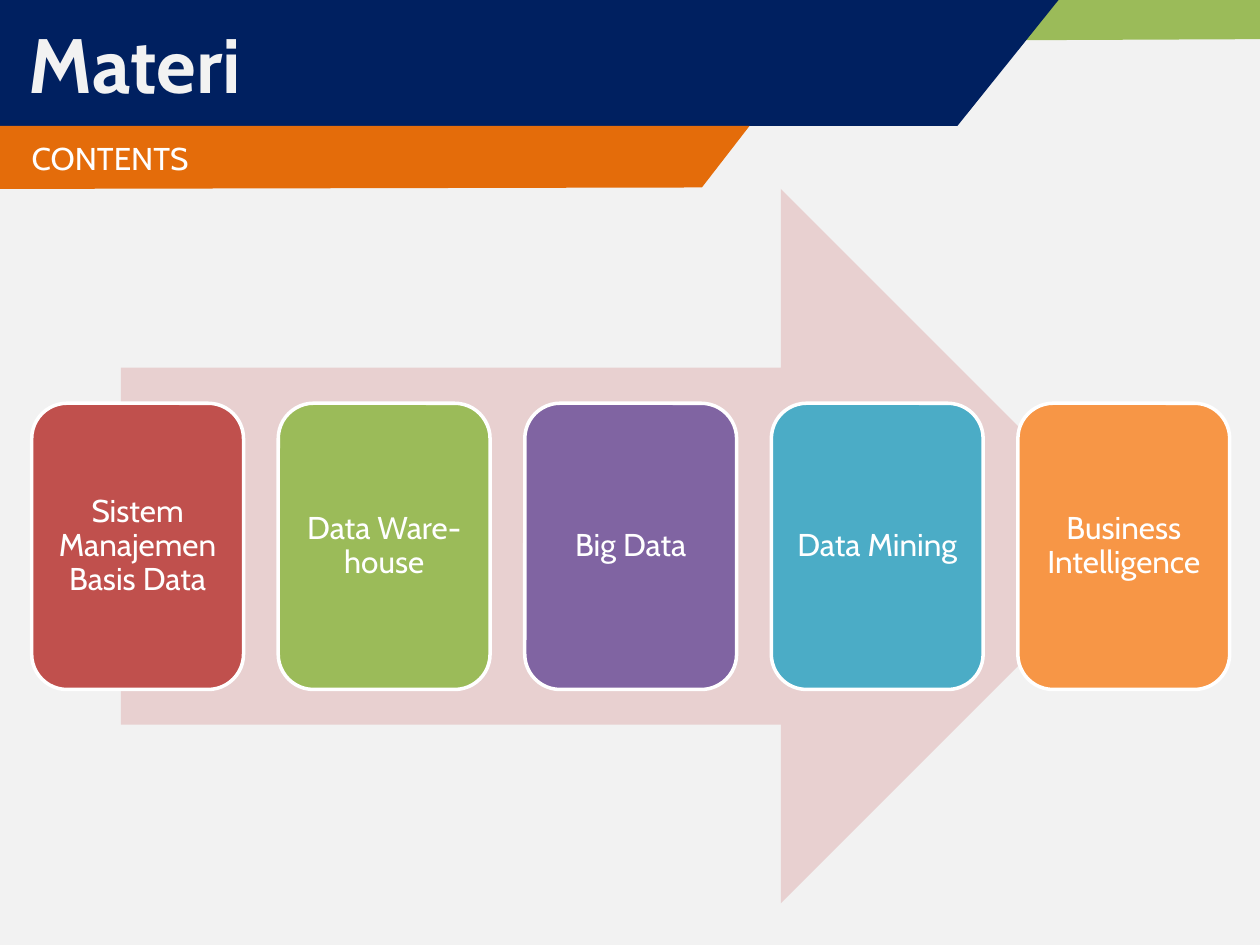
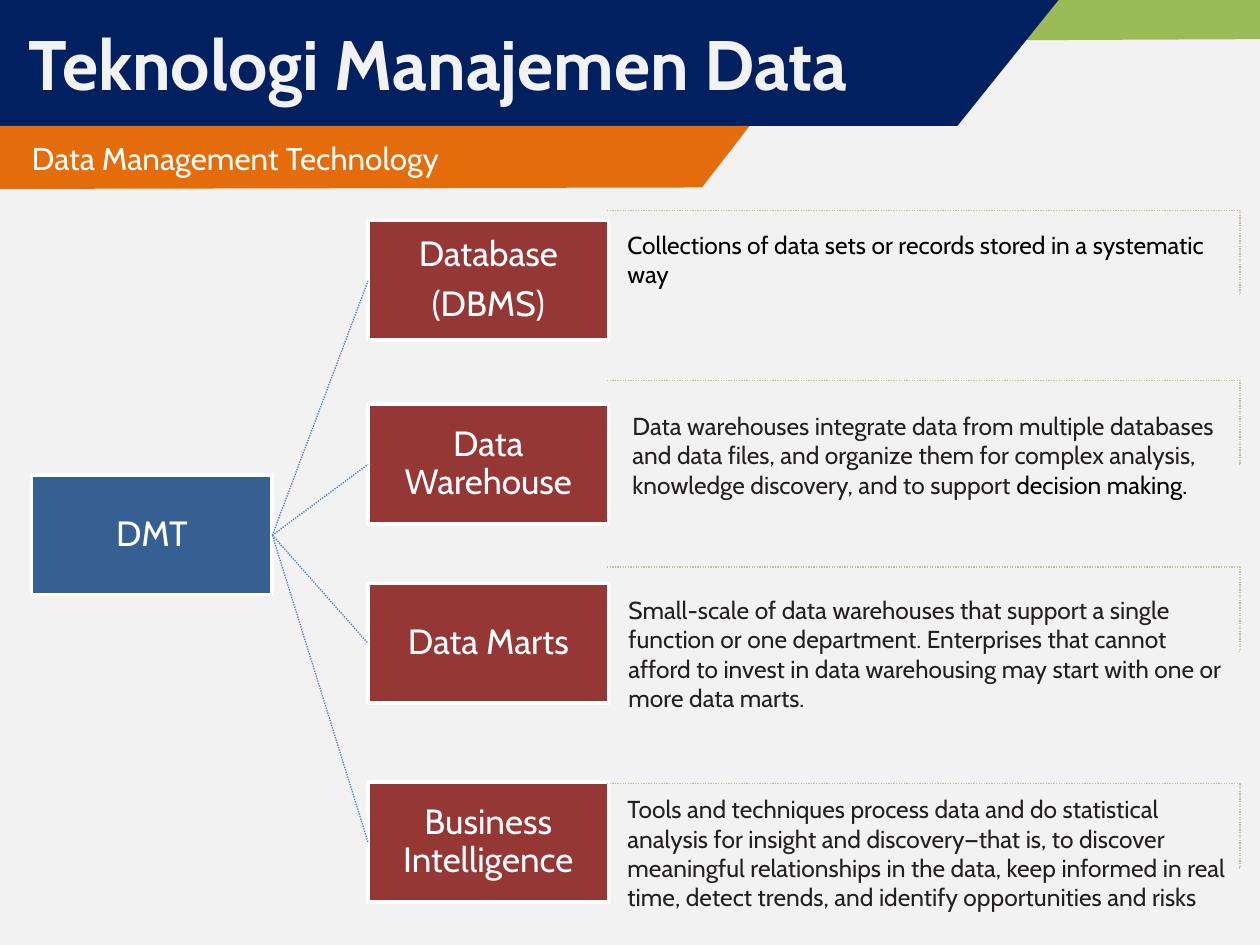
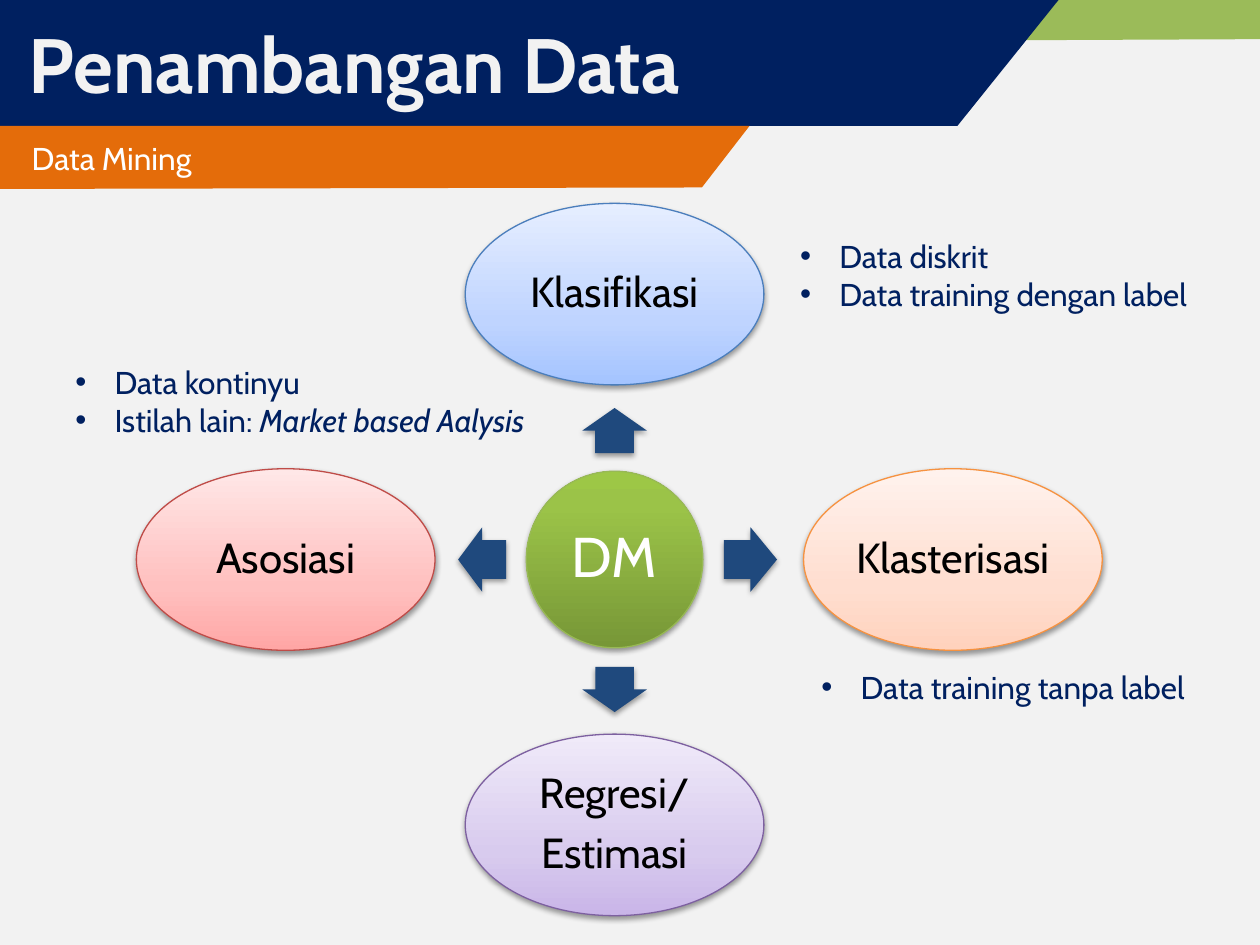
from dataclasses import dataclass

from lxml import etree
from pptx import Presentation
from pptx.dml.color import RGBColor
from pptx.enum.dml import MSO_LINE
from pptx.enum.shapes import MSO_CONNECTOR, MSO_SHAPE
from pptx.enum.text import MSO_ANCHOR, PP_ALIGN
from pptx.oxml.ns import qn
from pptx.util import Cm, Pt

RECTANGLE = MSO_SHAPE.RECTANGLE
ROUNDED = MSO_SHAPE.ROUNDED_RECTANGLE
OVAL = MSO_SHAPE.OVAL
ARROW = MSO_SHAPE.RIGHT_ARROW
STRAIGHT = MSO_CONNECTOR.STRAIGHT
ELBOW = MSO_CONNECTOR.ELBOW
DOTTED = MSO_LINE.ROUND_DOT
TOP = MSO_ANCHOR.TOP
MIDDLE = MSO_ANCHOR.MIDDLE
LEFT = PP_ALIGN.LEFT
CENTER = PP_ALIGN.CENTER


@dataclass(frozen=True)
class Theme:
    font: str = "Cabin"
    background: str = "F2F2F2"
    white: str = "FFFFFF"
    black: str = "000000"
    ink: str = "231F20"
    navy: str = "002060"
    green: str = "9BBB59"
    orange: str = "E46C0A"
    flow_arrow: str = "E8D0D0"
    cards: tuple = ("C0504D", "9BBB59", "8064A2", "4BACC6", "F79646")
    root: str = "376092"
    branch: str = "953735"
    branch_line: str = "4B7EBC"
    bracket: str = "C4BD97"
    spoke_arrow: str = "1F497D"
    hub: tuple = ((0, "779737"), (80, "9BC348"), (100, "9DC746"))
    hub_line: str = "98B955"
    title_size: int = 44
    long_title_size: int = 40
    hub_size: int = 32
    oval_size: int = 24
    box_size: int = 20
    body_size: int = 18
    description_size: int = 14
    outline: float = 2
    thin: float = 0.75


THEME = Theme()


def color(value):
    return RGBColor.from_string(value)


def set_attributes(target, values):
    for name, value in values.items():
        setattr(target, name, value)


# Text
def write_text(shape, paragraphs, size, text_color, align=LEFT, anchor=MIDDLE,
               insets=(0.25, 0.13), bold=False, bullet=False):
    """Each paragraph is a string or a list of (text, font overrides)."""
    frame = shape.text_frame
    set_attributes(frame, {
        "word_wrap": True, "vertical_anchor": anchor,
        "margin_left": Cm(insets[0]), "margin_right": Cm(insets[0]),
        "margin_top": Cm(insets[1]), "margin_bottom": Cm(insets[1])})
    for index, content in enumerate(paragraphs):
        paragraph = frame.add_paragraph() if index else frame.paragraphs[0]
        paragraph.alignment = align
        if align == CENTER:
            paragraph.line_spacing = 0.9
            if index < len(paragraphs) - 1:
                paragraph.space_after = Pt(round(0.35 * size))
        if bullet:
            add_bullet(paragraph)
        runs = [(content, {})] if isinstance(content, str) else content
        for text, overrides in runs:
            run = paragraph.add_run()
            run.text = text
            values = {"name": THEME.font, "size": Pt(size), "bold": bold, **overrides}
            run.font.color.rgb = color(values.pop("color", text_color))
            set_attributes(run.font, values)


def add_bullet(paragraph):
    properties = paragraph._p.get_or_add_pPr()
    properties.set("marL", str(Cm(0.79)))
    properties.set("indent", str(-Cm(0.79)))
    etree.SubElement(properties, qn("a:buFont"), typeface="Arial")
    etree.SubElement(properties, qn("a:buChar"), char="•")


def add_text(slide, box, paragraphs, size, text_color, **options):
    shape = slide.shapes.add_textbox(*map(Cm, box))
    write_text(shape, paragraphs, size, text_color, **options)


# Shapes
def paint(shape, fill, line=None, width=THEME.outline):
    shape.shadow.inherit = False
    if isinstance(fill, str):
        shape.fill.solid()
        shape.fill.fore_color.rgb = color(fill)
    else:
        paint_gradient(shape, fill)
    if line:
        shape.line.color.rgb = color(line)
        shape.line.width = Pt(width)
    else:
        shape.line.fill.background()


def paint_gradient(shape, stops):
    shape.fill.gradient()
    shape.fill.gradient_angle = 90
    stop_list = shape._element.spPr.find(".//" + qn("a:gsLst"))
    for stop in list(stop_list):
        stop_list.remove(stop)
    for position, value in stops:
        stop = etree.SubElement(stop_list, qn("a:gs"), pos=str(position * 1000))
        etree.SubElement(stop, qn("a:srgbClr"), val=value)


def add_shadow(shape):
    effects = shape._element.spPr.find(qn("a:effectLst"))
    shadow = etree.SubElement(effects, qn("a:outerShdw"), blurRad=str(Pt(3.1)),
                              dist=str(Pt(1.6)), dir="5400000", rotWithShape="0")
    shadow_color = etree.SubElement(shadow, qn("a:srgbClr"), val=THEME.black)
    etree.SubElement(shadow_color, qn("a:alpha"), val="38000")


def add_box(slide, kind, box, fill, line=None, width=THEME.outline):
    shape = slide.shapes.add_shape(kind, *map(Cm, box))
    paint(shape, fill, line, width)
    return shape


def add_centered(slide, kind, center, size, fill, line=None):
    box = (center[0] - size[0] / 2, center[1] - size[1] / 2, *size)
    shape = add_box(slide, kind, box, fill, line, THEME.thin)
    add_shadow(shape)
    return shape


def add_band(slide, points, fill):
    start, *others = [(Cm(x), Cm(y)) for x, y in points]
    builder = slide.shapes.build_freeform(*start)
    builder.add_line_segments(others, close=True)
    shape = builder.convert_to_shape()
    paint(shape, fill)
    return shape


def add_dotted_line(slide, kind, start, end, line_color):
    connector = slide.shapes.add_connector(kind, *map(Cm, (*start, *end)))
    connector.line.color.rgb = color(line_color)
    set_attributes(connector.line, {"width": Pt(THEME.thin), "dash_style": DOTTED})
    etree.SubElement(connector._element.spPr, qn("a:effectLst"))
    return connector


def add_bracket(slide, top):
    connector = add_dotted_line(slide, ELBOW, (12.24, top), (24.97, top + 1.7),
                                THEME.bracket)
    adjustments = connector._element.spPr.find(".//" + qn("a:avLst"))
    etree.SubElement(adjustments, qn("a:gd"), name="adj1", fmla="val 100200")


# Shared slide frame
def add_slide(presentation, title, subtitle, title_size=THEME.title_size):
    slide = presentation.slides.add_slide(presentation.slide_layouts[6])
    slide.background.fill.solid()
    slide.background.fill.fore_color.rgb = color(THEME.background)
    add_band(slide, [(14.45, 0), (25.4, 0), (25.4, 0.79), (14.17, 0.84)], THEME.green)
    add_band(slide, [(0, 0), (21.34, 0), (19.3, 2.54), (0, 2.54)], THEME.navy)
    add_text(slide, (0, 0, 25.4, 2.54), [title], title_size, THEME.background,
             insets=(0.58, 0.13), bold=True)
    band = add_band(slide, [(0, 2.54), (15.11, 2.54), (14.15, 3.78), (0, 3.81)],
                    THEME.orange)
    write_text(band, [subtitle], THEME.body_size, THEME.white, insets=(0.64, 0.13))
    return slide


# Slides
def build_contents(presentation):
    slide = add_slide(presentation, "Materi", "CONTENTS")
    add_box(slide, ARROW, (2.44, 3.81, 20.5, 14.4), THEME.flow_arrow)
    topics = ["Sistem Manajemen Basis Data", "Data Ware-house", "Big Data",
              "Data Mining", "Business Intelligence"]
    for index, (topic, fill) in enumerate(zip(topics, THEME.cards)):
        card = add_box(slide, ROUNDED, (0.64 + 4.97 * index, 8.13, 4.27, 5.77),
                       fill, THEME.white)
        write_text(card, [topic], THEME.body_size, THEME.white, CENTER,
                   insets=(0.18, 0.18))


def add_tree_box(slide, left, top, lines, fill):
    box = add_box(slide, RECTANGLE, (left, top, 4.85, 2.41), fill, THEME.white)
    write_text(box, lines, THEME.box_size, THEME.white, CENTER, insets=(0.1, 0.1))


def build_technology(presentation):
    slide = add_slide(presentation, "Teknologi Manajemen Data",
                      "Data Management Technology", THEME.long_title_size)
    add_tree_box(slide, 0.64, 9.58, ["DMT"], THEME.root)
    black = {"color": THEME.black}
    # Box lines, box top, bracket top, description box, description runs
    branches = [
        (["Database", "(DBMS)"], 4.45, 4.24, (12.4, 4.5, 12.55, 1.45),
         [("Collections of data sets or records stored in a systematic way", black)]),
        (["Data Warehouse"], 8.15, 7.67, (12.5, 8.15, 12.7, 2.64),
         [("Data warehouses integrate data from multiple databases and data files, "
           "and organize them for complex analysis, knowledge discovery, and to "
           "support ", {}), ("decision making.", black)]),
        (["Data Marts"], 11.76, 11.43, (12.42, 11.86, 12.6, 2.64),
         [("Small-scale of data warehouses that support a single function or one "
           "department. Enterprises that cannot afford to invest in data warehousing "
           "may start with one or more data marts.", {})]),
        (["Business Intelligence"], 15.77, 15.8, (12.4, 15.88, 12.6, 2.64),
         [("Tools and techniques process data and do statistical analysis for insight "
           "and discovery—that is, to discover meaningful relationships in the data, "
           "keep informed in real time, detect trends, and identify opportunities and "
           "risks", {})]),
    ]
    for lines, top, bracket_top, description_box, runs in branches:
        add_tree_box(slide, 7.42, top, lines, THEME.branch)
        add_dotted_line(slide, STRAIGHT, (5.49, 10.79), (7.42, top + 1.21),
                        THEME.branch_line)
        add_bracket(slide, bracket_top)
        add_text(slide, description_box, [runs], THEME.description_size, THEME.ink,
                 anchor=TOP)


def build_mining(presentation):
    slide = add_slide(presentation, "Penambangan Data", "Data Mining")
    center_x, center_y = 12.39, 11.28
    hub = add_centered(slide, OVAL, (center_x, center_y), (3.56, 3.56), THEME.hub,
                       THEME.hub_line)
    write_text(hub, ["DM"], THEME.hub_size, THEME.white, CENTER, insets=(0.1, 0.1))

    # Lines, direction, oval distance, arrow distance and length, rotation, colours
    spokes = [
        (["Klasifikasi"], (0, -1), 5.35, 2.6, 0.91, 270,
         ("A4C4FF", "BFD4FF", "E6EEFF"), "4B7EBC"),
        (["Klasterisasi"], (1, 0), 6.82, 2.74, 1.07, 0,
         ("FFD2BD", "FFDED0", "FFF2ED"), "F69240"),
        (["Regresi/", "Estimasi"], (0, 1), 5.35, 2.62, 0.91, 90,
         ("C9B5E8", "D8CBEE", "F0EAF9"), "7D60A0"),
        (["Asosiasi"], (-1, 0), 6.63, 2.67, 0.97, 180,
         ("FFA6A5", "FFC0BF", "FFE7E7"), "BF4C48"),
    ]
    for lines, (x, y), distance, arrow_distance, length, rotation, tints, line in spokes:
        arrow = add_centered(
            slide, ARROW, (center_x + x * arrow_distance, center_y + y * arrow_distance),
            (length, 1.3), THEME.spoke_arrow)
        arrow.rotation = rotation
        arrow.adjustments[0] = 0.6
        oval = add_centered(
            slide, OVAL, (center_x + x * distance, center_y + y * distance),
            (6.02, 3.66), tuple(zip((0, 35, 100), tints)), line)
        write_text(oval, lines, THEME.oval_size, THEME.black, CENTER,
                   insets=(0.08, 0.08))

    # Notes beside the ovals
    notes = [
        ((15.88, 4.65, 9.0, 1.8), ["Data diskrit", "Data training dengan label"]),
        ((16.31, 13.34, 8.6, 1.02), ["Data training tanpa label"]),
        ((1.27, 7.19, 10.6, 1.8),
         ["Data kontinyu",
          [("Istilah lain: ", {}), ("Market based Aalysis", {"italic": True})]]),
    ]
    for box, paragraphs in notes:
        add_text(slide, box, paragraphs, THEME.body_size, THEME.navy, anchor=TOP,
                 bullet=True)


def main():
    presentation = Presentation()
    set_attributes(presentation, {"slide_width": Cm(25.4), "slide_height": Cm(19.05)})
    build_contents(presentation)
    build_technology(presentation)
    build_mining(presentation)
    presentation.save("out.pptx")


if __name__ == "__main__":
    main()
